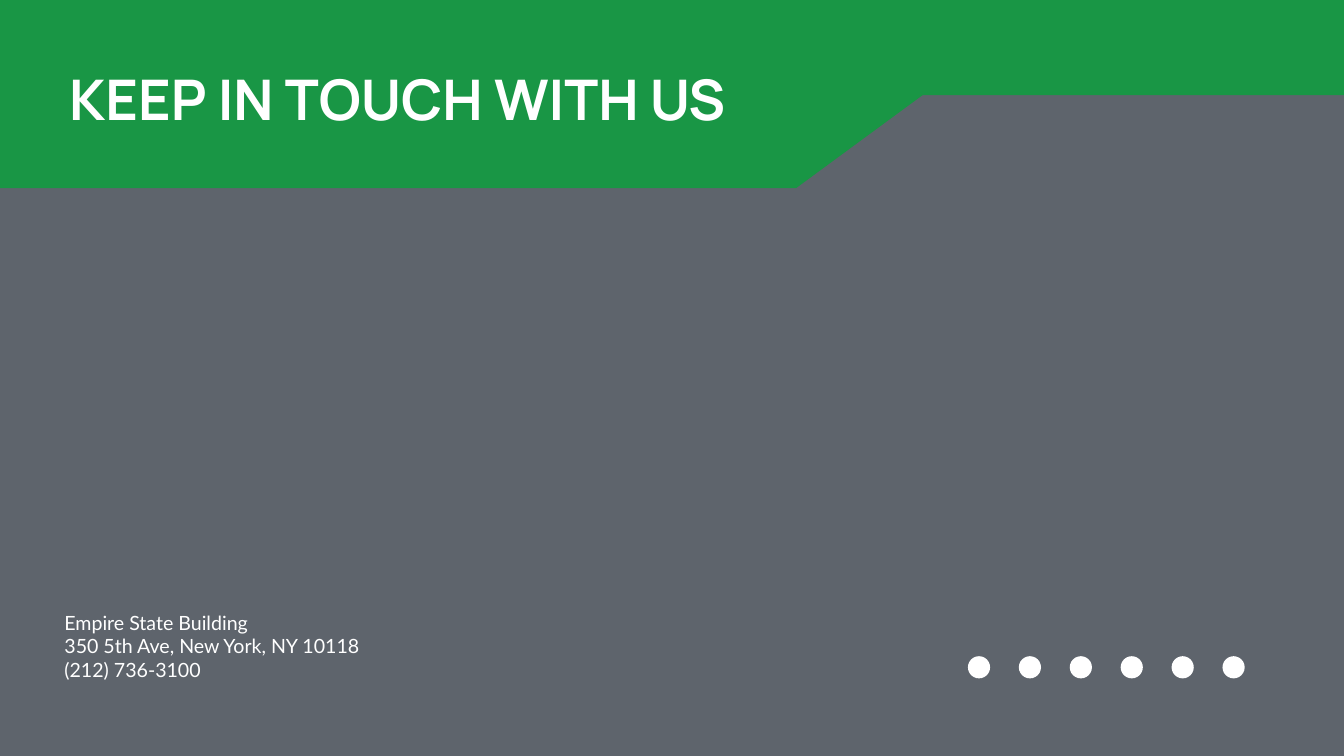
from lxml.etree import SubElement
from pptx import Presentation
from pptx.dml.color import RGBColor
from pptx.enum.shapes import MSO_SHAPE as Shape
from pptx.enum.text import MSO_ANCHOR as Anchor, MSO_AUTO_SIZE as AutoSize, PP_ALIGN as Align
from pptx.oxml.ns import qn
from pptx.util import Inches, Pt

WIDTH, HEIGHT = 26.66, 15
BLEED = 0.16
GREEN, SLATE, WHITE = "199645", "363E48", "FFFFFF"

MARK_COUNT = 6
MARK_SIZE = 0.44
MARK_PITCH = 1.01
FIRST_MARK_LEFT, MARK_TOP = 19.2, 13.02

ADDRESS = ["Empire State Building", "350 5th Ave, New York, NY 10118", "(212) 736-3100"]


def color(hex_string):
    return RGBColor.from_string(hex_string)


class ContactSlide:
    heading_font, body_font = "Manrope", "Lato"

    def __init__(self, presentation):
        self.slide = presentation.slides.add_slide(presentation.slide_layouts[5])

    def panel(self, kind, left, top, width, height, fill, opacity=100):
        """Add a borderless filled shape; opacity is in percent."""
        panel = self.slide.shapes.add_shape(
            kind, Inches(left), Inches(top), Inches(width), Inches(height))
        panel.shadow.inherit = False
        panel.fill.solid()
        panel.fill.fore_color.rgb = color(fill)
        panel.line.fill.background()
        if opacity < 100:
            tint = panel._element.spPr.find(qn("a:solidFill"))[0]
            SubElement(tint, qn("a:alpha"), val=str(opacity * 1000))
        return panel

    def title(self, text, left, top, width, height):
        heading = self.slide.shapes.title
        heading.left, heading.top = Inches(left), Inches(top)
        heading.width, heading.height = Inches(width), Inches(height)
        self.fill_text(heading.text_frame, [text], self.heading_font, 80, bold=True)
        # Bring the placeholder in front of the panels
        self.slide.shapes._spTree.append(heading._element)

    def text(self, lines, left, top, width, height):
        box = self.slide.shapes.add_textbox(
            Inches(left), Inches(top), Inches(width), Inches(height))
        self.fill_text(box.text_frame, lines, self.body_font, 28, wrap=False)

    def fill_text(self, frame, lines, font_name, size, bold=False, wrap=True):
        frame.text = "\n".join(lines)
        frame.word_wrap = wrap
        frame.auto_size = AutoSize.SHAPE_TO_FIT_TEXT
        frame.vertical_anchor = Anchor.TOP
        for paragraph in frame.paragraphs:
            paragraph.alignment = Align.LEFT
            for run in paragraph.runs:
                run.font.name = font_name
                run.font.size = Pt(size)
                run.font.bold = bold
                run.font.color.rgb = color(WHITE)


def main():
    presentation = Presentation()
    presentation.slide_width, presentation.slide_height = Inches(WIDTH), Inches(HEIGHT)
    contact = ContactSlide(presentation)

    contact.panel(Shape.RECTANGLE, 0, -BLEED, WIDTH, HEIGHT + BLEED, SLATE, opacity=80)
    contact.panel(Shape.RECTANGLE, 11.78, -BLEED, WIDTH - 11.78, 2.05, GREEN)
    banner = contact.panel(Shape.PENTAGON, 0, -BLEED, 18.44, 3.89, GREEN)
    banner.adjustments[0] = 0.68

    contact.title("KEEP IN TOUCH WITH US", 1.27, 1.22, 14.21, 1.45)
    for index in range(MARK_COUNT):
        contact.panel(Shape.OVAL, FIRST_MARK_LEFT + index * MARK_PITCH, MARK_TOP,
                      MARK_SIZE, MARK_SIZE, WHITE)
    contact.text(ADDRESS, 1.18, 12.07, 6.36, 1.51)

    presentation.save("out.pptx")


if __name__ == "__main__":
    main()
